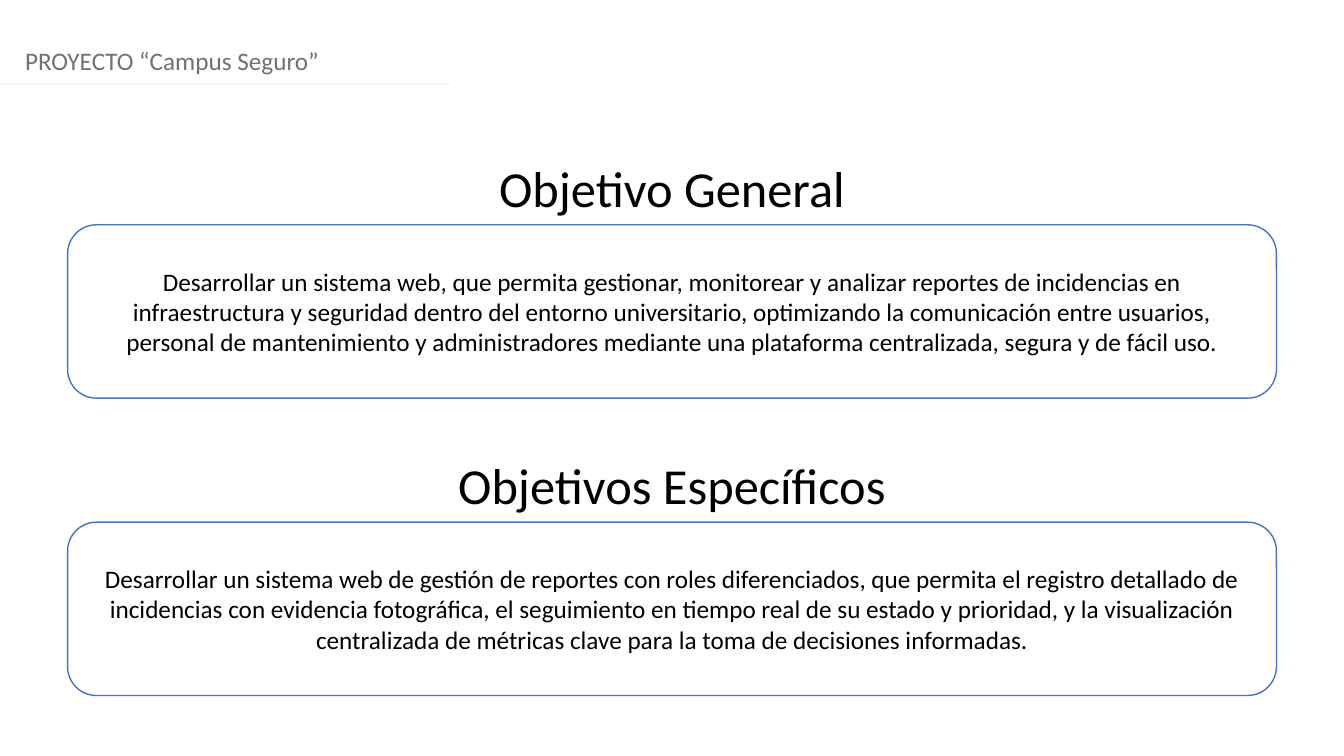
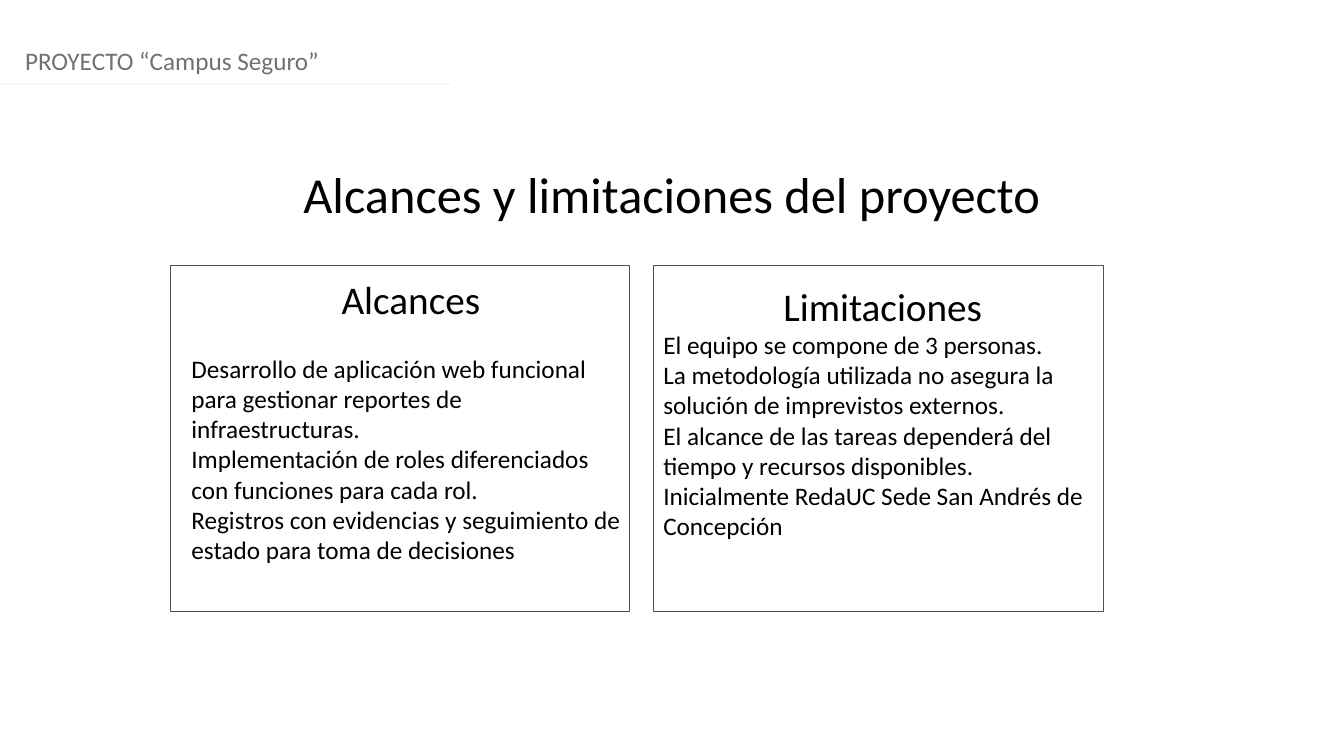
from lxml import etree
from pptx import Presentation
from pptx.dml.color import RGBColor
from pptx.enum.shapes import MSO_CONNECTOR, MSO_SHAPE
from pptx.enum.text import MSO_ANCHOR, MSO_AUTO_SIZE, PP_ALIGN
from pptx.oxml.ns import qn
from pptx.util import Inches, Pt

LEFT, CENTER = PP_ALIGN.LEFT, PP_ALIGN.CENTER
TOP, MIDDLE = MSO_ANCHOR.TOP, MSO_ANCHOR.MIDDLE
NO_AUTOFIT = MSO_AUTO_SIZE.NONE
RECTANGLE, ROUNDED = MSO_SHAPE.RECTANGLE, MSO_SHAPE.ROUNDED_RECTANGLE
STRAIGHT = MSO_CONNECTOR.STRAIGHT

FONT = "Calibri"
BLACK, WHITE, GRAY = "000000", "FFFFFF", "757070"
BLUE, SLATE, PALE = "4472C4", "44546A", "F5F7FC"
WIDTH, HEIGHT = 13.33, 7.5
TITLE_HEIGHT = 0.71
TITLE_SIZE, HEADING_SIZE, BODY_SIZE = 36, 28, 18
PROJECT = "PROYECTO “Campus Seguro”"

GOALS_TOP, GOALS_STEP = 1.51, 2.95
GOALS = [
    ("Objetivo General",
     "Desarrollar un sistema web, que permita gestionar, monitorear y analizar "
     "reportes de incidencias en infraestructura y seguridad dentro del entorno "
     "universitario, optimizando la comunicación entre usuarios, personal de "
     "mantenimiento y administradores mediante una plataforma centralizada, "
     "segura y de fácil uso."),
    ("Objetivos Específicos",
     "Desarrollar un sistema web de gestión de reportes con roles diferenciados, "
     "que permita el registro detallado de incidencias con evidencia fotográfica, "
     "el seguimiento en tiempo real de su estado y prioridad, y la visualización "
     "centralizada de métricas clave para la toma de decisiones informadas."),
]

SCOPE = [
    "Desarrollo de aplicación web funcional para gestionar reportes de infraestructuras.",
    "Implementación de roles diferenciados con funciones para cada rol.",
    "Registros con evidencias y seguimiento de estado para toma de decisiones",
]
LIMITS = [
    "El equipo se compone de 3 personas.",
    "La metodología utilizada no asegura la solución de imprevistos externos.",
    "El alcance de las tareas dependerá del tiempo y recursos disponibles.",
    "Inicialmente RedaUC Sede San Andrés de Concepción",
]


def color(value):
    return RGBColor.from_string(value)


def add_text(frame, text, size=BODY_SIZE, fill=BLACK, align=LEFT, after=0):
    para = frame.paragraphs[0]
    if para.runs:
        para = frame.add_paragraph()
    para.alignment = align
    para.space_after = Pt(after)
    span = para.add_run()
    span.text = text
    span.font.name = FONT
    span.font.size = Pt(size)
    span.font.color.rgb = color(fill)


class Builder:
    def __init__(self):
        self.deck = Presentation()
        self.deck.slide_width = Inches(WIDTH)
        self.deck.slide_height = Inches(HEIGHT)
        self.page = None

    def new_page(self, title, top):
        self.page = self.deck.slides.add_slide(self.deck.slide_layouts[5])
        self.heading(title, top, self.page.shapes.title)
        header = self.text_box(0.15, 0.4, 13, 0.4)
        add_text(header, PROJECT, fill=GRAY)
        self.line(0, 0.83, 4.47, 0.83)

    def setup(self, frame, anchor=TOP, inset=0.05):
        frame.word_wrap = True
        frame.auto_size = NO_AUTOFIT
        frame.vertical_anchor = anchor
        frame.margin_left = frame.margin_right = Inches(0.1)
        frame.margin_top = frame.margin_bottom = Inches(inset)
        return frame

    def text_box(self, left, top, width, height, inset=0.05):
        box = self.page.shapes.add_textbox(
            Inches(left), Inches(top), Inches(width), Inches(height))
        return self.setup(box.text_frame, inset=inset)

    def heading(self, text, top, placeholder=None):
        if placeholder is None:
            frame = self.text_box(0, top, WIDTH, TITLE_HEIGHT)
        else:
            placeholder.left, placeholder.top = Inches(0), Inches(top)
            placeholder.width = Inches(WIDTH)
            placeholder.height = Inches(TITLE_HEIGHT)
            frame = self.setup(placeholder.text_frame)
        add_text(frame, text, size=TITLE_SIZE, align=CENTER)

    def line(self, x1, y1, x2, y2):
        rule = self.page.shapes.add_connector(
            STRAIGHT, Inches(x1), Inches(y1), Inches(x2), Inches(y2))
        rule.line.color.rgb = color(PALE)
        rule.line.width = Pt(1.25)
        etree.SubElement(rule.element.spPr, qn("a:effectLst"))

    def outline(self, kind, left, top, width, height, stroke, weight, fill=None):
        box = self.page.shapes.add_shape(
            kind, Inches(left), Inches(top), Inches(width), Inches(height))
        box.shadow.inherit = False
        if fill:
            box.fill.solid()
            box.fill.fore_color.rgb = color(fill)
        else:
            box.fill.background()
        box.line.color.rgb = color(stroke)
        box.line.width = Pt(weight)
        return box

    def goal_card(self, text, top):
        card = self.outline(ROUNDED, 0.67, top, 11.99, 1.72, BLUE, 1, WHITE)
        add_text(self.setup(card.text_frame, MIDDLE), text, align=CENTER)

    def panel(self, left, width, title, items, shift_x=0, shift_y=0, gap=0):
        top = 2.63
        self.outline(RECTANGLE, left, top, width, 3.44, SLATE, 0.75)
        frame = self.text_box(left + shift_x, top + shift_y, 4.55, 3.86, inset=0.1)
        add_text(frame, title, size=HEADING_SIZE, align=CENTER, after=gap)
        for item in items:
            add_text(frame, item)


def main():
    builder = Builder()

    for index, (title, text) in enumerate(GOALS):
        top = GOALS_TOP + index * GOALS_STEP
        if index == 0:
            builder.new_page(title, top)
        else:
            builder.heading(title, top)
        builder.goal_card(text, top + TITLE_HEIGHT + 0.01)

    builder.new_page("Alcances y limitaciones del proyecto", 1.57)
    builder.panel(1.69, 4.55, "Alcances", SCOPE, shift_x=0.11, gap=22)
    builder.panel(6.48, 4.47, "Limitaciones", LIMITS, shift_y=0.07)

    builder.deck.save("out.pptx")


if __name__ == "__main__":
    main()
